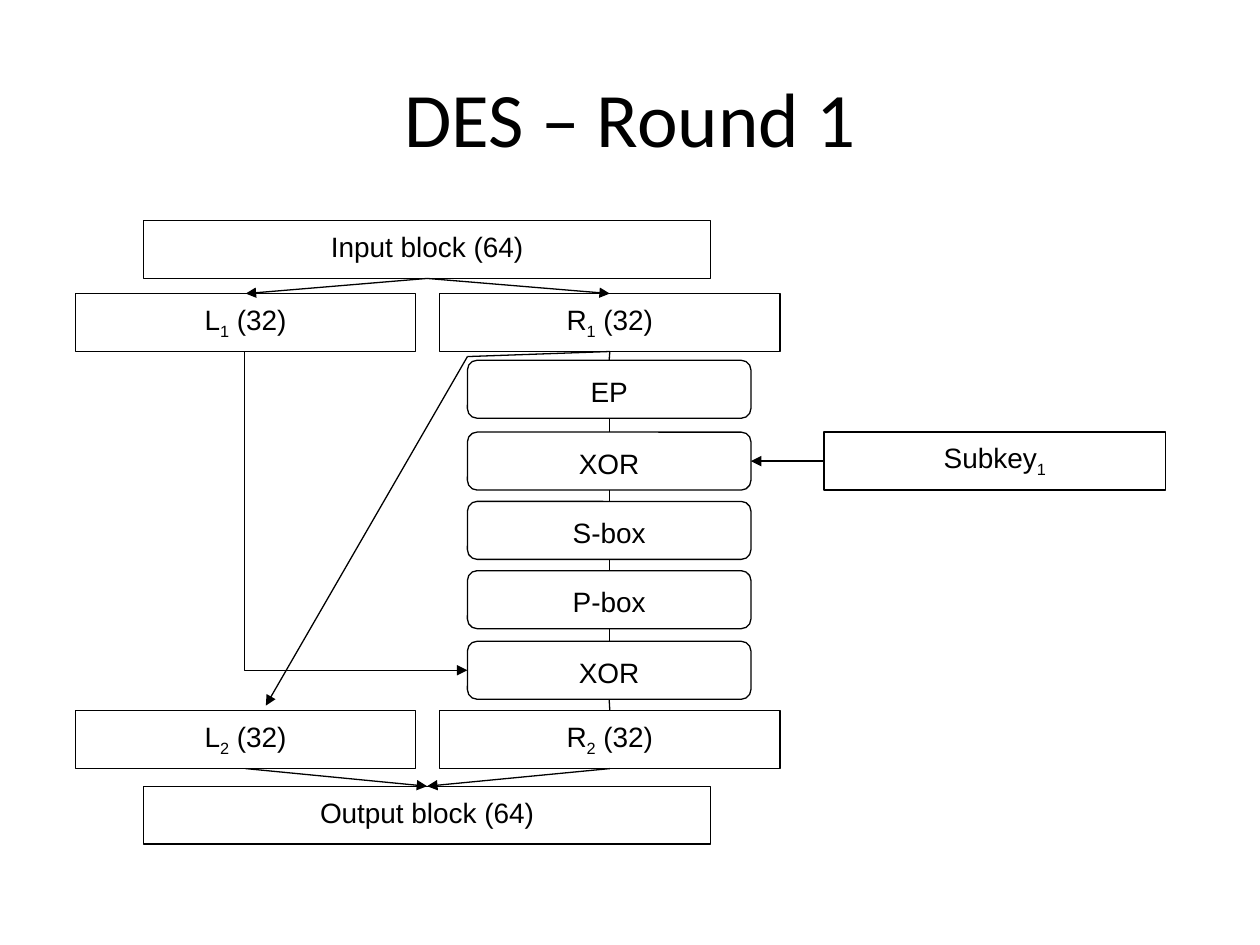
from lxml import etree
from pptx import Presentation
from pptx.dml.color import RGBColor
from pptx.enum import shapes, text
from pptx.oxml import ns
from pptx.util import Inches, Pt

BLACK = RGBColor(0, 0, 0)
WHITE = RGBColor(255, 255, 255)
BOX_HEIGHT = 0.46
TOP, LEFT, BOTTOM, RIGHT = range(4)  # connection sites of a box


def write_text(paragraph, content, font="Arial", size=16, color=BLACK):
    """Write centred text; the part between two underscores is a subscript."""
    paragraph.alignment = text.PP_ALIGN.CENTER
    for index, part in enumerate(content.split("_")):
        if not part:
            continue
        run = paragraph.add_run()
        run.text = part
        run.font.name = font
        run.font.size = Pt(size)
        run.font.color.rgb = color
        if index % 2:
            run.font._element.set("baseline", "-25000")


class Diagram:
    def __init__(self, slide, color=BLACK, line_width=0.75):
        self.slide = slide
        self.color = color
        self.line_width = Pt(line_width)

    def title(self, content, left, top, width, height):
        shape = self.slide.shapes.title
        shape.left, shape.top = Inches(left), Inches(top)
        shape.width, shape.height = Inches(width), Inches(height)
        shape.text_frame.vertical_anchor = text.MSO_ANCHOR.MIDDLE
        write_text(shape.text_frame.paragraphs[0], content, font="Calibri", size=44)

    def box(self, content, left, top, width, rounded=False):
        kind = shapes.MSO_SHAPE.ROUNDED_RECTANGLE if rounded else shapes.MSO_SHAPE.RECTANGLE
        shape = self.slide.shapes.add_shape(
            kind, Inches(left), Inches(top), Inches(width), Inches(BOX_HEIGHT))
        shape.shadow.inherit = False
        shape.fill.background()
        shape.line.color.rgb = self.color
        shape.line.width = self.line_width
        frame = shape.text_frame
        frame.word_wrap = True
        frame.vertical_anchor = text.MSO_ANCHOR.TOP
        frame.margin_top = Inches(0.09 if rounded else 0.07)
        frame.margin_bottom = 0
        write_text(frame.paragraphs[0], content)
        return shape

    def line(self, start, end, arrow=False, kind=shapes.MSO_CONNECTOR.STRAIGHT):
        connector = self.slide.shapes.add_connector(
            kind, *(Inches(value) for value in (*start, *end)))
        connector.line.color.rgb = self.color
        connector.line.width = self.line_width
        if arrow:
            tail = etree.SubElement(connector.line._get_or_add_ln(), ns.qn("a:tailEnd"))
            tail.set("type", "triangle")
        etree.SubElement(connector._element.spPr, ns.qn("a:effectLst"))
        return connector

    def link(self, source, source_site, target, target_site, arrow=False):
        connector = self.line((0, 0), (0, 0), arrow)
        connector.begin_connect(source, source_site)
        connector.end_connect(target, target_site)

    def down_then_right(self, start, end):
        """Draw a one-bend arrow: the preset runs right then down, so turn and flip it."""
        width, height = end[1] - start[1], end[0] - start[0]
        left = (start[0] + end[0] - width) / 2
        top = (start[1] + end[1] - height) / 2
        connector = self.line((left, top), (left + width, top + height),
                              arrow=True, kind=shapes.MSO_CONNECTOR.ELBOW)
        properties = connector._element.spPr
        properties.find(ns.qn("a:prstGeom")).set("prst", "bentConnector2")
        frame = properties.find(ns.qn("a:xfrm"))
        frame.set("rot", str(270 * 60000))
        frame.set("flipH", "1")


def main():
    presentation = Presentation()
    presentation.slide_width, presentation.slide_height = Inches(10), Inches(7.5)
    slide = presentation.slides.add_slide(presentation.slide_layouts[5])
    slide.background.fill.solid()
    slide.background.fill.fore_color.rgb = WHITE
    diagram = Diagram(slide)
    diagram.title("DES – Round 1", 0.5, 0.3, 9, 1.25)

    # Blocks and their halves
    input_block = diagram.box("Input block (64)", 1.14, 1.75, 4.5)
    left_in = diagram.box("L_1_ (32)", 0.6, 2.33, 2.7)
    right_in = diagram.box("R_1_ (32)", 3.49, 2.33, 2.7)
    left_out = diagram.box("L_2_ (32)", 0.6, 5.64, 2.7)
    right_out = diagram.box("R_2_ (32)", 3.49, 5.64, 2.7)
    output_block = diagram.box("Output block (64)", 1.14, 6.24, 4.5)
    subkey = diagram.box("Subkey_1_", 6.54, 3.43, 2.71)

    # Round function
    steps = [diagram.box(name, 3.71, top, 2.25, rounded=True) for name, top in (
        ("EP", 2.86), ("XOR", 3.43), ("S-box", 3.98), ("P-box", 4.53), ("XOR", 5.09))]
    chain = [right_in, *steps, right_out]
    for upper, lower in zip(chain, chain[1:]):
        diagram.link(upper, BOTTOM, lower, TOP)
    diagram.link(subkey, LEFT, steps[1], RIGHT, arrow=True)

    # Split of the input and join of the output
    for half in (left_in, right_in):
        diagram.link(input_block, BOTTOM, half, TOP, arrow=True)
    for half in (right_out, left_out):
        diagram.link(half, BOTTOM, output_block, TOP, arrow=True)

    # Left half to the last XOR, right half across to the new left half
    diagram.down_then_right((1.94, 2.79), (3.71, 5.32))
    corner = (3.71, 2.83)
    diagram.line((4.84, 2.79), corner)
    diagram.line(corner, (2.11, 5.6), arrow=True)

    presentation.save("out.pptx")


if __name__ == "__main__":
    main()
